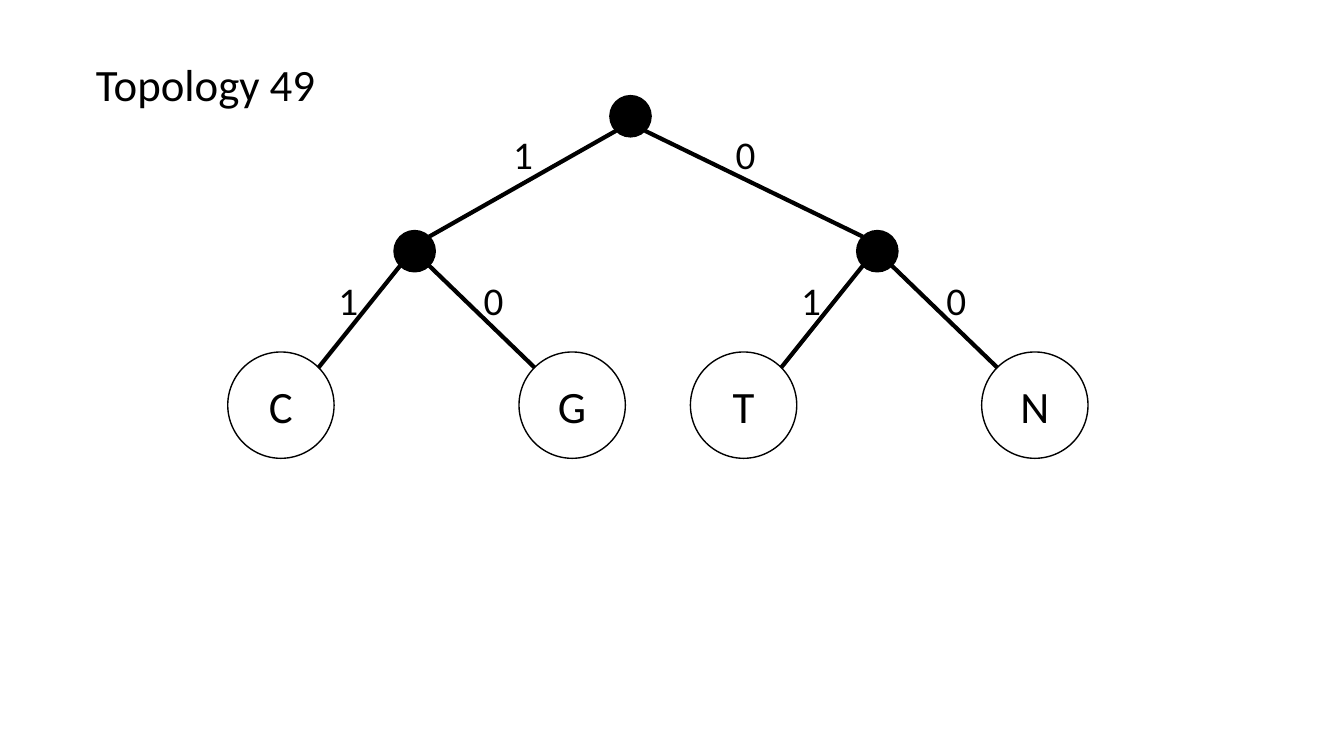
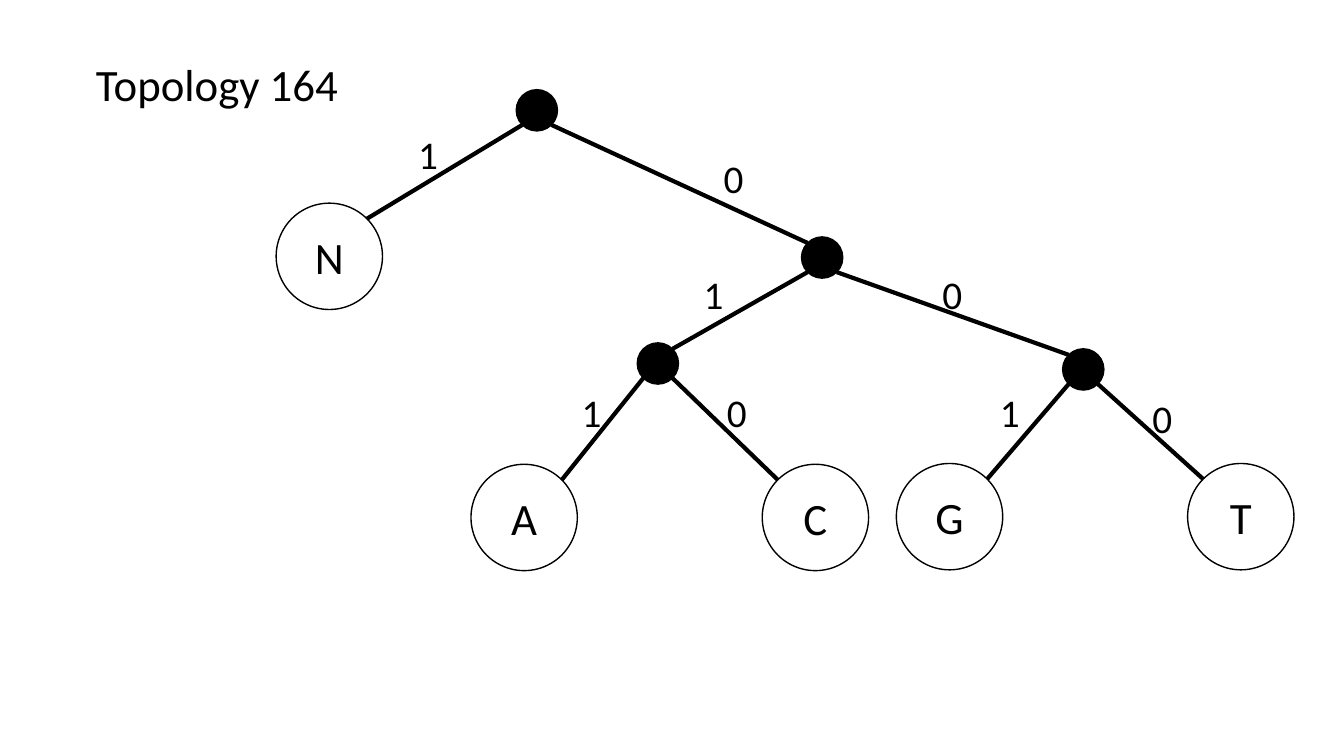
from dataclasses import dataclass
from math import sqrt

from lxml import etree
from pptx import Presentation
from pptx.dml.color import RGBColor
from pptx.enum.shapes import MSO_CONNECTOR, MSO_SHAPE
from pptx.enum.text import MSO_ANCHOR, MSO_AUTO_SIZE, PP_ALIGN
from pptx.oxml.ns import qn
from pptx.util import Cm, Pt

BLACK = RGBColor(0, 0, 0)
FONT = "Calibri"
ELLIPSE = MSO_SHAPE.OVAL
STRAIGHT = MSO_CONNECTOR.STRAIGHT
CENTER, LEFT = PP_ALIGN.CENTER, PP_ALIGN.LEFT
MIDDLE, TOP = MSO_ANCHOR.MIDDLE, MSO_ANCHOR.TOP
NO_AUTOSIZE = MSO_AUTO_SIZE.NONE

TITLE_ONLY = 5
TITLE_BOX = (2.16, 1.3, 7.2, 1.63)
LABEL_SIZE = (1, 1.45)
JOINT_RADIUS = 0.52
LEAF_RADIUS = 1.34


@dataclass
class Node:
    dx: float
    dy: float
    letter: str = ""
    children: tuple = ()
    label_offsets: tuple = ()

    @property
    def radius(self):
        return LEAF_RADIUS if self.letter else JOINT_RADIUS


def leaf_pair(dx, dy, letters, drop=3.88, label_offsets=((-2.17, 0.5), (1.49, 0.5))):
    left_letter, right_letter = letters
    children = (Node(-3.37, drop, left_letter), Node(3.97, drop, right_letter))
    return Node(dx, dy, "", children, label_offsets)


BALANCED_TREE = Node(
    10.15, 0.52,
    children=(leaf_pair(-5.44, 3.4, "CG"), leaf_pair(6.22, 3.4, "TN")),
    label_offsets=((-3.21, 0.22), (2.4, 0.22)),
)
INNER_TREE = Node(
    7.19, 3.71,
    children=(
        leaf_pair(-4.14, 2.67, "AC"),
        leaf_pair(6.58, 2.82, "GT", 3.71, ((-2.35, 0.34), (1.49, 0.5))),
    ),
    label_offsets=((-3.24, 0.19), (2.78, 0.19)),
)
SKEWED_TREE = Node(
    6.57, 0.52,
    children=(Node(-5.23, 3.68, "N"), INNER_TREE),
    label_offsets=((-3.24, 0.39), (4.46, 0.98)),
)
TOPOLOGIES = (
    ("Topology 49", (5.74, 2.41), BALANCED_TREE),
    ("Topology 164", (6.96, 2.26), SKEWED_TREE),
)


def write_text(shape, text, size, alignment=LEFT, anchor=TOP):
    text_frame = shape.text_frame
    text_frame.text = text
    text_frame.word_wrap = True
    text_frame.auto_size = NO_AUTOSIZE
    text_frame.vertical_anchor = anchor
    paragraph = text_frame.paragraphs[0]
    paragraph.alignment = alignment
    font = paragraph.runs[0].font
    font.name = FONT
    font.size = Pt(size)
    font.color.rgb = BLACK


def add_title(slide, text, box):
    title = slide.shapes.title
    title.left, title.top, title.width, title.height = map(Cm, box)
    write_text(title, text, 32)


def add_branch(slide, parent, child, x, y, side):
    start = parent.radius / sqrt(2)
    end = child.radius / sqrt(2)
    points = (
        x + side * start, y + start,
        x + child.dx - side * end, y + child.dy - end,
    )
    branch = slide.shapes.add_connector(STRAIGHT, *map(Cm, points))
    branch.line.color.rgb = BLACK
    branch.line.width = Pt(3)
    etree.SubElement(branch._element.spPr, qn("a:effectLst"))


def add_label(slide, text, left, top):
    label = slide.shapes.add_textbox(Cm(left), Cm(top), *map(Cm, LABEL_SIZE))
    write_text(label, text, 28)


def add_circle(slide, node, x, y):
    diameter = Cm(2 * node.radius)
    circle = slide.shapes.add_shape(
        ELLIPSE, Cm(x - node.radius), Cm(y - node.radius), diameter, diameter
    )
    circle.shadow.inherit = False
    circle.line.color.rgb = BLACK
    circle.line.width = Pt(1)
    if node.letter:
        circle.fill.background()
        write_text(circle, node.letter, 32, CENTER, MIDDLE)
    else:
        circle.fill.solid()
        circle.fill.fore_color.rgb = BLACK


def add_tree(slide, node, left, top):
    x, y = left + node.dx, top + node.dy
    add_circle(slide, node, x, y)
    branches = zip(node.children, node.label_offsets, (-1, 1), "10")
    for child, (label_dx, label_dy), side, bit in branches:
        add_branch(slide, node, child, x, y, side)
        add_label(slide, bit, x + label_dx, y + label_dy)
        add_tree(slide, child, x, y)


def add_topology_slide(presentation, title, corner, tree):
    slide = presentation.slides.add_slide(presentation.slide_layouts[TITLE_ONLY])
    add_title(slide, title, TITLE_BOX)
    add_tree(slide, tree, *corner)


def main():
    presentation = Presentation()
    presentation.slide_width = Cm(33.87)
    presentation.slide_height = Cm(19.05)
    for title, corner, tree in TOPOLOGIES:
        add_topology_slide(presentation, title, corner, tree)
    presentation.save("out.pptx")


if __name__ == "__main__":
    main()
